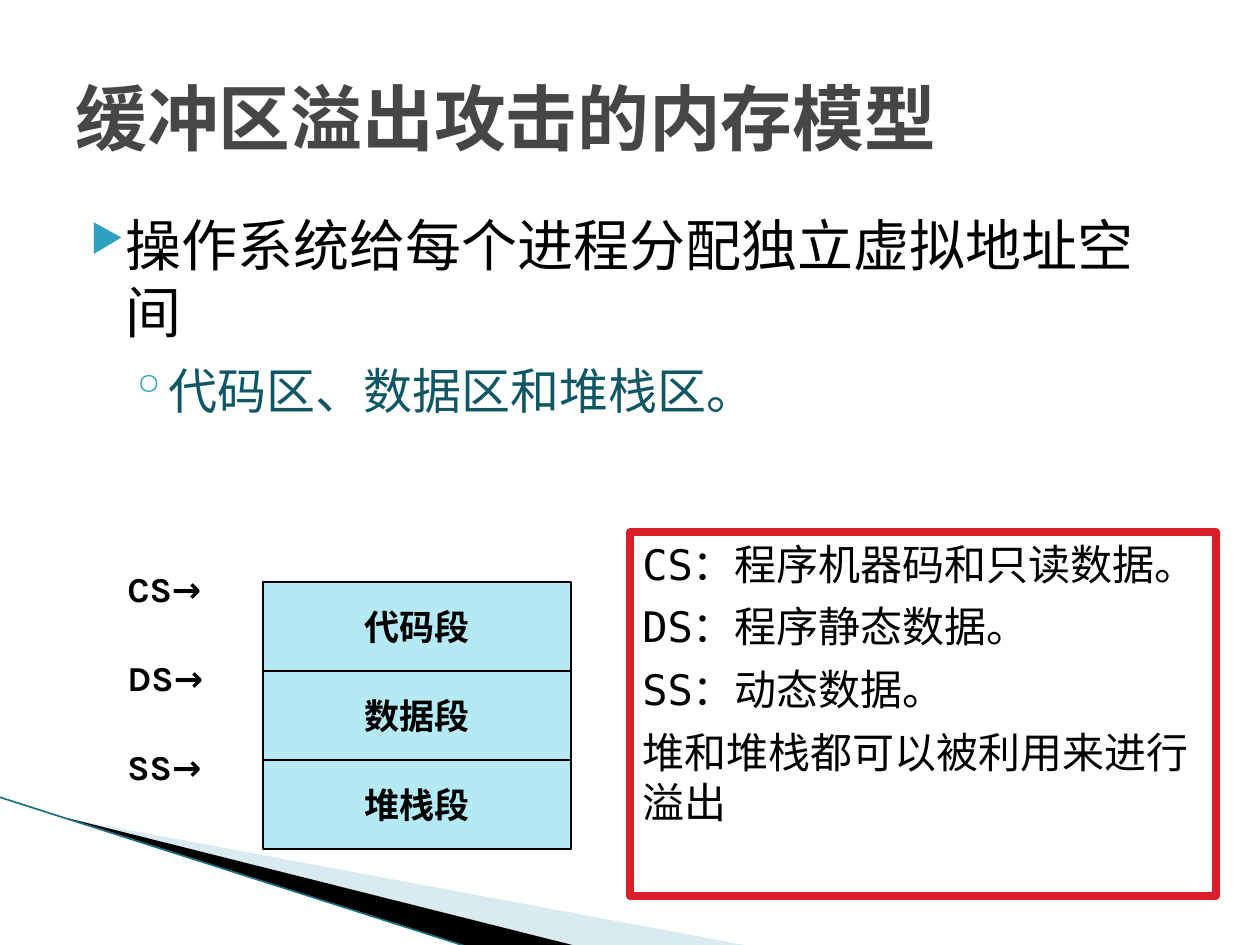
from lxml import etree
from pptx import Presentation
from pptx.dml.color import RGBColor
from pptx.enum.shapes import MSO_CONNECTOR, MSO_SHAPE
from pptx.enum.text import MSO_ANCHOR, PP_ALIGN
from pptx.oxml.ns import qn
from pptx.util import Emu, Pt

RECT, LINE = MSO_SHAPE.RECTANGLE, MSO_CONNECTOR.STRAIGHT
TOP, MID = MSO_ANCHOR.TOP, MSO_ANCHOR.MIDDLE
LEFT, CENTER = PP_ALIGN.LEFT, PP_ALIGN.CENTER
PX = 914400 / 126

THEME = {
    "mono": "DejaVu Sans Mono", "sans": "Karla",
    "ink": "000000", "title": "464646", "sub": "105766", "mark": "2DA2BF",
    "cell": "B5E9F4", "paper": "FFFFFF", "frame": "DA1F28",
    "pale": "A0CBDC", "edge": "1C6F83",
    "head": 41, "lead": 32, "point": 28, "note": 24, "label": 20,
}

TITLE = "缓冲区溢出攻击的内存模型"
BODY = [
    ("操作系统给每个进程分配独立虚拟地址空间", "lead", "ink", "▶", 68, 50, -35),
    ("代码区、数据区和堆栈区。", "point", "sub", "◦", 100, 86, -32),
]
PARTS = [("CS→", "代码段"), ("DS→", "数据段"), ("SS→", "堆栈段")]
NOTES = ["CS：程序机器码和只读数据。", "DS：程序静态数据。", "SS：动态数据。",
         "堆和堆栈都可以被利用来进行溢出"]
WEDGES = [
    ([(69, 819), (750, 946), (575, 946)], "pale", 40),
    ([(67, 818), (576, 946), (469, 947)], "ink", 100),
]
EDGE = (-1, 797, 468, 947)


def px(*nums):
    return [Emu(round(n * PX)) for n in nums]


def color(name):
    return RGBColor.from_string(THEME[name])


def paint(shape, fill, line=None, width=0):
    shape.shadow.inherit = False
    shape.fill.solid()
    shape.fill.fore_color.rgb = color(fill)
    if line:
        shape.line.color.rgb = color(line)
        shape.line.width = Pt(width)
    else:
        shape.line.fill.background()


def style(para, size, tone="ink", face="mono", bold=False, align=LEFT):
    para.alignment = align
    font = para.font
    font.name, font.size, font.bold = THEME[face], Pt(THEME[size]), bold
    font.color.rgb = color(tone)


def write(shape, lines, size, gap=0, anchor=TOP, wrap=True, **look):
    frame = shape.text_frame
    frame.word_wrap, frame.vertical_anchor = wrap, anchor
    frame.text = "\n".join(lines)
    for i, para in enumerate(frame.paragraphs):
        if i:
            para.space_before = Pt(gap)
        style(para, size, **look)
    return frame


def bullet(para, mark, scale, left, indent):
    props = para._p.get_or_add_pPr()
    props.set("marL", str(px(left)[0]))
    props.set("indent", str(px(indent)[0]))
    tone = etree.SubElement(props, qn("a:buClr"))
    etree.SubElement(tone, qn("a:srgbClr"), val=THEME["mark"])
    etree.SubElement(props, qn("a:buSzPct"), val=str(scale * 1000))
    etree.SubElement(props, qn("a:buChar"), char=mark)


def draw_wedges(shapes):
    for points, fill, alpha in WEDGES:
        pen = shapes.build_freeform(*points[0], scale=PX)
        pen.add_line_segments(points[1:], close=True)
        wedge = pen.convert_to_shape()
        paint(wedge, fill)
        if alpha < 100:
            tone = wedge._element.spPr.find(qn("a:solidFill"))[0]
            etree.SubElement(tone, qn("a:alpha"), val=str(alpha * 1000))
    edge = shapes.add_connector(LINE, *px(*EDGE))
    edge.line.color.rgb, edge.line.width = color("edge"), Pt(0.95)
    etree.SubElement(edge._element.spPr, qn("a:effectLst"))


def draw_body(shapes):
    box = shapes.add_textbox(*px(63, 204, 1134, 624))
    frame = write(box, [row[0] for row in BODY], "lead", gap=9)
    for para, (_, size, tone, *mark) in zip(frame.paragraphs, BODY):
        bullet(para, *mark)
        style(para, size, tone)


def draw_parts(shapes):
    high = 89
    for i, (label, name) in enumerate(PARTS):
        top = 582 + i * high
        cell = shapes.add_shape(RECT, *px(263, top, 308, high))
        paint(cell, "cell", "ink", 0.75)
        write(cell, [name], "label", anchor=MID, wrap=False,
              face="sans", bold=True, align=CENTER)
        tag = shapes.add_textbox(*px(115, top - 21, 120, 54))
        write(tag, [label], "label", face="sans", bold=True)


def main():
    deck = Presentation()
    deck.slide_width, deck.slide_height = px(1260, 945)
    shapes = deck.slides.add_slide(deck.slide_layouts[6]).shapes
    draw_wedges(shapes)
    draw_body(shapes)
    title = shapes.add_textbox(*px(63, 38, 1134, 158))
    write(title, [TITLE], "head", anchor=MID, tone="title", bold=True)
    draw_parts(shapes)
    panel = shapes.add_shape(RECT, *px(630, 532, 586, 364))
    paint(panel, "paper", "frame", 4.33)
    write(panel, NOTES, "note", gap=7)
    deck.save("out.pptx")


if __name__ == "__main__":
    main()
